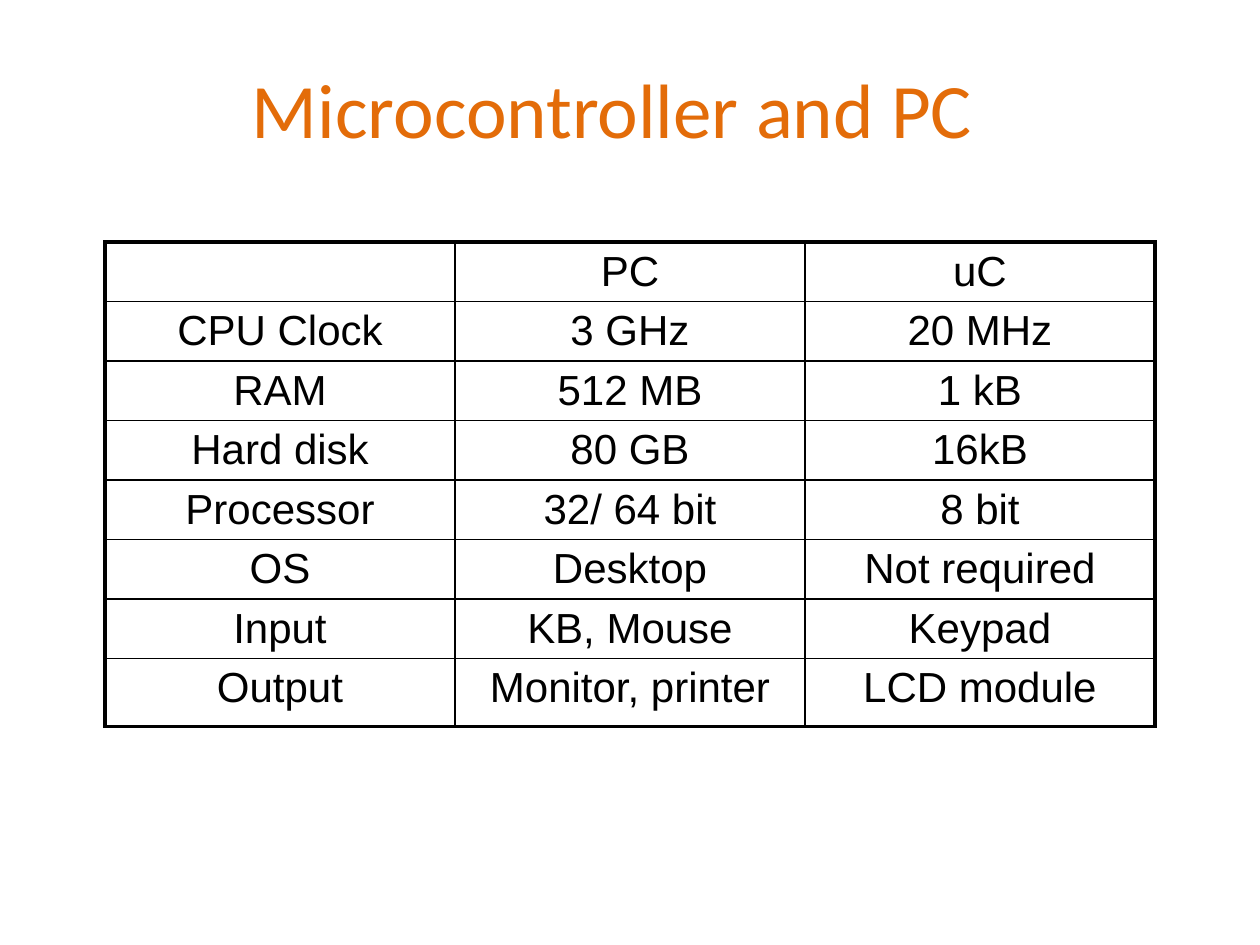
from lxml.etree import SubElement
from pptx import Presentation
from pptx.dml.color import RGBColor
from pptx.enum.text import MSO_ANCHOR, PP_ALIGN
from pptx.oxml.ns import qn
from pptx.util import Emu, Pt

ORANGE = RGBColor(0xE3, 0x6C, 0x09)
BLACK = RGBColor(0, 0, 0)
THIN, THICK = 1, 2.25


def px(n):
    return Emu(round(n * 914400 / 126))


def put_text(frame, text, font="Arial", size=24, color=BLACK):
    para = frame.paragraphs[0]
    para.alignment = PP_ALIGN.CENTER
    run = para.add_run()
    run.text = text
    run.font.name = font
    run.font.size = Pt(size)
    run.font.color.rgb = color


prs = Presentation()
prs.slide_width, prs.slide_height = px(1260), px(945)
slide = prs.slides.add_slide(prs.slide_layouts[5])

# Title
title = slide.shapes.title
title.left, title.top, title.width, title.height = px(60), px(45), px(1105), px(126)
title.text_frame.vertical_anchor = MSO_ANCHOR.MIDDLE
put_text(title.text_frame, "Microcontroller and PC", font="Calibri", size=44, color=ORANGE)

# Comparison table
data = [
    ["", "PC", "uC"],
    ["CPU Clock", "3 GHz", "20 MHz"],
    ["RAM", "512 MB", "1 kB"],
    ["Hard disk", "80 GB", "16kB"],
    ["Processor", "32/ 64 bit", "8 bit"],
    ["OS", "Desktop", "Not required"],
    ["Input", "KB, Mouse", "Keypad"],
    ["Output", "Monitor, printer", "LCD module"],
]
last_row, last_col = len(data) - 1, len(data[0]) - 1
frame = slide.shapes.add_table(len(data), len(data[0]), px(105), px(242), px(1050), px(509))
table = frame.table
table.first_row = table.horz_banding = False
for col in table.columns:
    col.width = px(350)
for r, row in enumerate(table.rows):
    row.height = px(68 if r == last_row else 54)
frame.height = px(509)

# Cell text, with thick lines on the outer edge and thin ones inside
for r, words in enumerate(data):
    for c, word in enumerate(words):
        cell = table.cell(r, c)
        if word:
            put_text(cell.text_frame, word)
        props = cell._tc.get_or_add_tcPr()
        edges = {"lnL": c == 0, "lnR": c == last_col, "lnT": r == 0, "lnB": r == last_row}
        for tag, outer in edges.items():
            width = Pt(THICK if outer else THIN)
            line = SubElement(props, qn("a:" + tag), w=str(int(width)))
            fill = SubElement(line, qn("a:solidFill"))
            SubElement(fill, qn("a:srgbClr"), val=str(BLACK))
        cell.fill.background()

prs.save("out.pptx")
